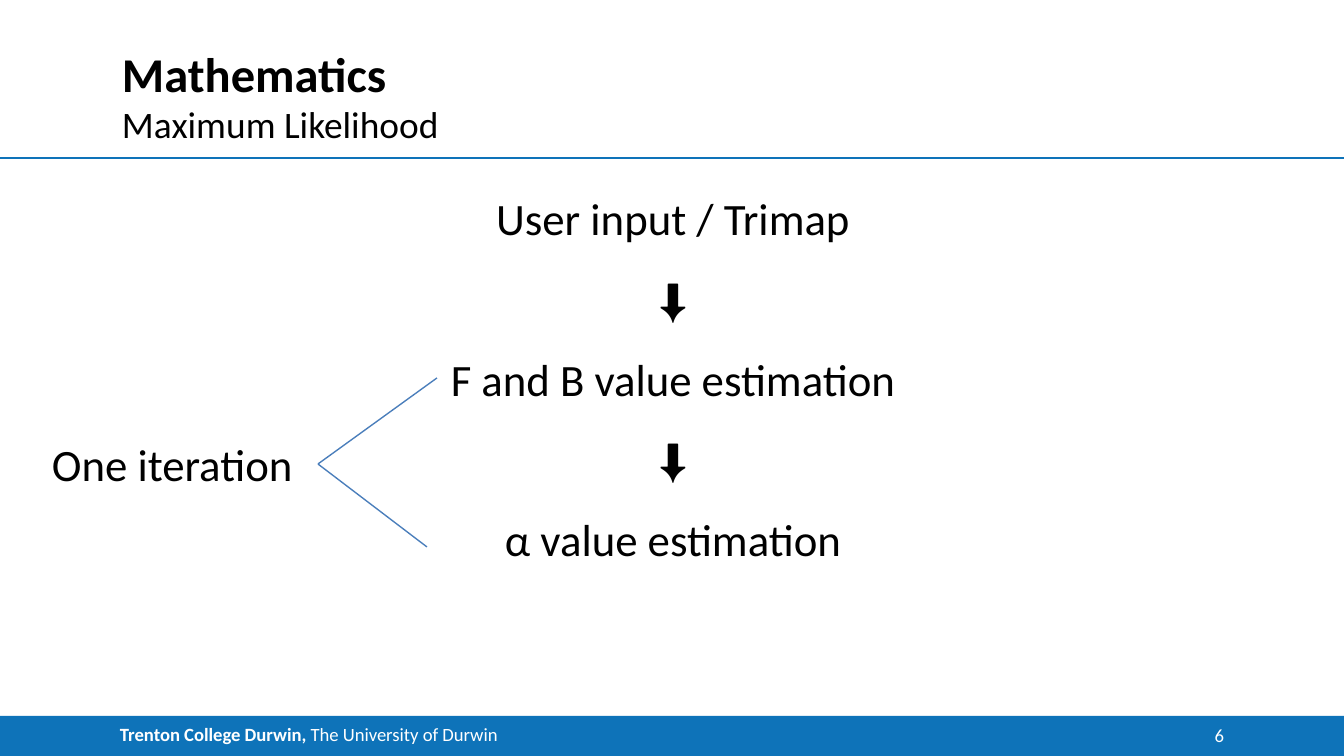
from dataclasses import dataclass

from lxml import etree
from pptx import Presentation
from pptx.dml.color import RGBColor
from pptx.enum.shapes import MSO_CONNECTOR, MSO_SHAPE
from pptx.enum.text import MSO_ANCHOR, PP_ALIGN
from pptx.oxml.ns import qn
from pptx.util import Pt

SCALE = 914400 / 134.4
WIDE, HIGH = 1344, 756
FONT = "Calibri"
BLACK = RGBColor(0x00, 0x00, 0x00)
WHITE = RGBColor(0xFF, 0xFF, 0xFF)
BLUE = RGBColor(0x0E, 0x73, 0xB9)
STEEL = RGBColor(0x4A, 0x7E, 0xBB)
RECT = MSO_SHAPE.RECTANGLE
STRAIGHT = MSO_CONNECTOR.STRAIGHT
TOP, BOTTOM = MSO_ANCHOR.TOP, MSO_ANCHOR.BOTTOM
LEFT, CENTER, RIGHT = PP_ALIGN.LEFT, PP_ALIGN.CENTER, PP_ALIGN.RIGHT
GAP = 14.2


@dataclass(frozen=True)
class Box:
    x: int
    y: int
    w: int
    h: int


@dataclass(frozen=True)
class Line:
    x1: int
    y1: int
    x2: int
    y2: int
    color: RGBColor


@dataclass(frozen=True)
class Run:
    text: str
    bold: bool = False


def emu(px: int) -> int:
    return round(px * SCALE)


def area(box: Box) -> list[int]:
    return [emu(n) for n in (box.x, box.y, box.w, box.h)]


def write(shape, paras: list[list[Run]], size=24, color=BLACK, align=LEFT,
          anchor=TOP, gap=0, inset=(0, 0, 0, 0)) -> None:
    frame = shape.text_frame
    frame.word_wrap = True
    frame.vertical_anchor = anchor
    (frame.margin_left, frame.margin_top,
     frame.margin_right, frame.margin_bottom) = [emu(n) for n in inset]
    for i, runs in enumerate(paras):
        para = frame.add_paragraph() if i else frame.paragraphs[0]
        para.alignment = align
        para.space_before = Pt(gap)
        for item in runs:
            run = para.add_run()
            run.text = item.text
            font = run.font
            font.name, font.size, font.bold = FONT, Pt(size), item.bold
            font.color.rgb = color


def label(slide, box: Box, paras: list[list[Run]], **style) -> None:
    write(slide.shapes.add_textbox(*area(box)), paras, **style)


def draw(slide, line: Line) -> None:
    ends = [emu(n) for n in (line.x1, line.y1, line.x2, line.y2)]
    link = slide.shapes.add_connector(STRAIGHT, *ends)
    link.line.color.rgb = line.color
    link.line.width = Pt(0.75)
    etree.SubElement(link._element.spPr, qn("a:effectLst"))


def footer(slide) -> None:
    band = slide.shapes.add_shape(RECT, *area(Box(0, 716, WIDE, 40)))
    band.shadow.inherit = False
    band.fill.solid()
    band.fill.fore_color.rgb = BLUE
    band.line.fill.background()
    runs = [Run("Trenton College Durwin, ", True),
            Run("The University of Durwin")]
    write(band, [runs], size=10, color=WHITE, inset=(120, 7, 13, 7))


def main() -> None:
    deck = Presentation()
    deck.slide_width, deck.slide_height = emu(WIDE), emu(HIGH)
    slide = deck.slides.add_slide(deck.slide_layouts[6])

    footer(slide)
    draw(slide, Line(0, 158, WIDE, 158, BLUE))
    label(slide, Box(122, 40, 1102, 62), [[Run("Mathematics", True)]],
          size=26, anchor=BOTTOM)

    steps = ["User input / Trimap", "⬇️", "F and B value estimation",
             "⬇️", "α value estimation"]
    label(slide, Box(122, 191, 1102, 445), [[Run(step)] for step in steps],
          align=CENTER, gap=GAP)
    label(slide, Box(122, 101, 1102, 31), [[Run("Maximum Likelihood")]],
          size=20, gap=GAP)

    for line in (Line(437, 378, 318, 464, STEEL),
                 Line(318, 464, 427, 547, STEEL)):
        draw(slide, line)
    label(slide, Box(39, 430, 280, 121), [[Run("One iteration")]],
          inset=(13, 7, 13, 7))
    label(slide, Box(1181, 718, 43, 28), [[Run("6")]],
          size=10, color=WHITE, align=RIGHT, anchor=BOTTOM)
    deck.save("out.pptx")


if __name__ == "__main__":
    main()
